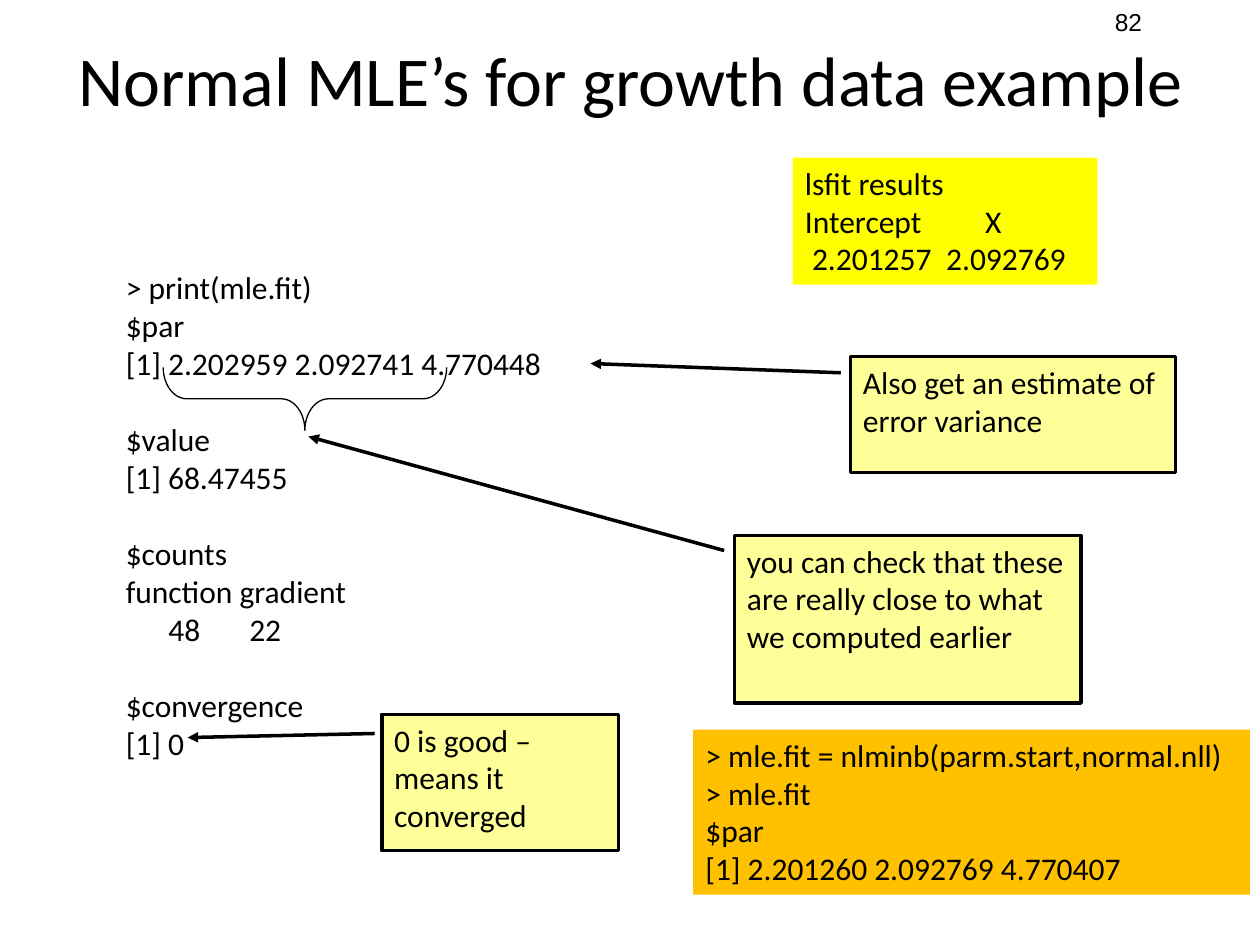
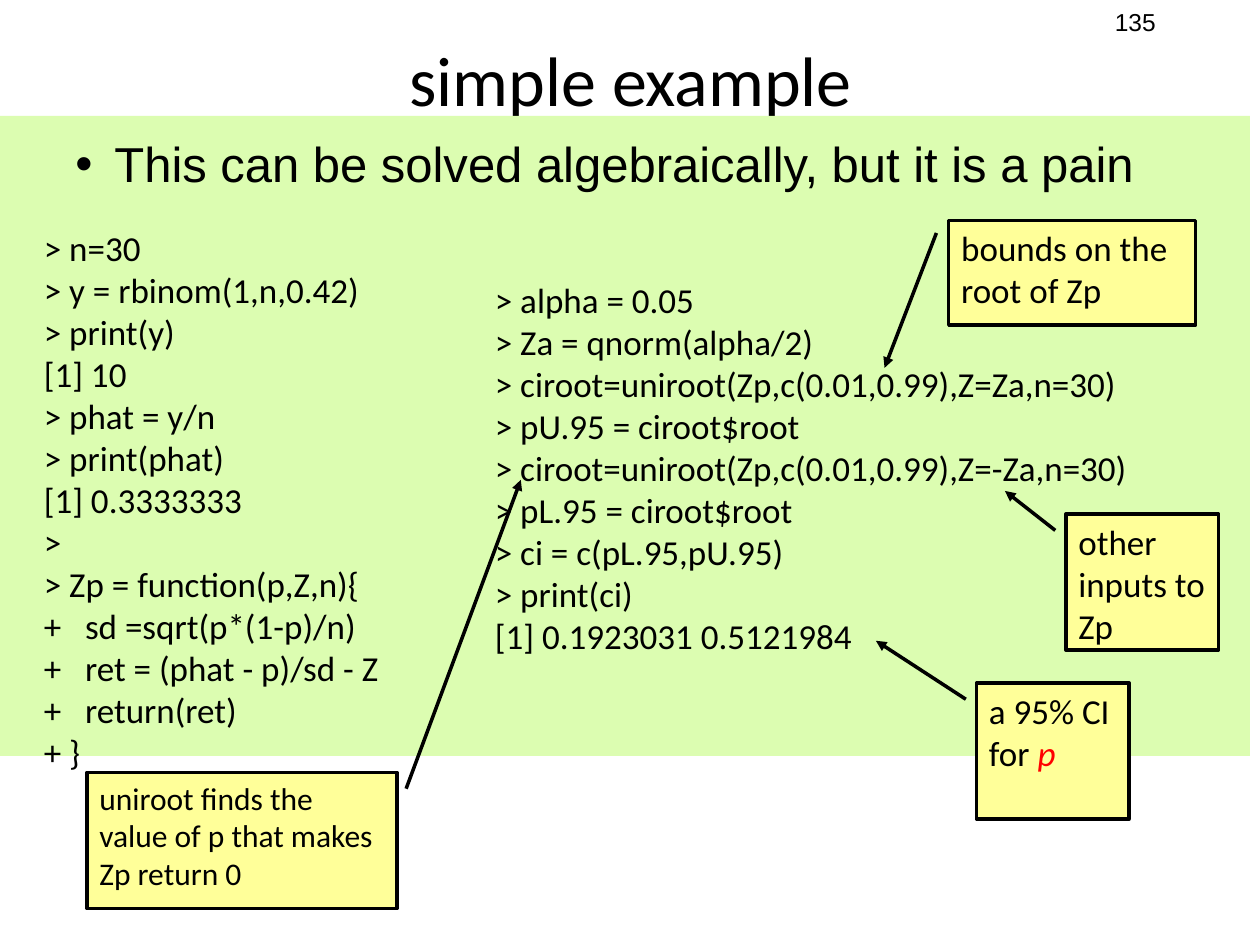
import dataclasses

import pptx
import pptx.dml.color
import pptx.enum.shapes
import pptx.enum.text
import pptx.oxml.ns
import pptx.util
from lxml import etree

Inches = pptx.util.Inches
Pt = pptx.util.Pt
SHAPE = pptx.enum.shapes.MSO_SHAPE
TEXT = pptx.enum.text


@dataclasses.dataclass(frozen=True)
class Theme:
    ink: str = "000000"
    accent: str = "FF0000"
    note: str = "FFFF99"
    result: str = "FFFF00"
    refit: str = "FFC000"
    band: str = "DCFDB1"
    sans: str = "Calibri"
    bullet_font: str = "Arial"
    title: int = 40
    bullet: int = 28
    large: int = 20
    body: int = 18
    number: int = 14


@dataclasses.dataclass(frozen=True)
class Line:
    text: str
    tab: float = 0
    gap: int = 0


THEME = Theme()
BLANK_LINE = 22


def rgb(value):
    return pptx.dml.color.RGBColor.from_string(value)


def add_xml(parent, tag, **attributes):
    return etree.SubElement(parent, pptx.oxml.ns.qn(tag), attributes)


def set_font(font, size, name=THEME.sans):
    font.name = name
    font.size = Pt(size)
    font.color.rgb = rgb(THEME.ink)


def fill_text(tf, lines, size, name=THEME.sans, align=TEXT.PP_ALIGN.LEFT):
    tf.word_wrap = True
    for i, line in enumerate(lines):
        if isinstance(line, str):
            line = Line(line)
        p = tf.paragraphs[0] if i == 0 else tf.add_paragraph()
        p.text = line.text
        p.alignment = align
        if line.gap:
            p.space_before = Pt(line.gap)
        if line.tab:
            tabs = add_xml(p._p.get_or_add_pPr(), "a:tabLst")
            add_xml(tabs, "a:tab", pos=str(Inches(line.tab)), algn="l")
        set_font(p.font, size, name)


def add_text(slide, box, lines, size, **style):
    sp = slide.shapes.add_textbox(*map(Inches, box))
    fill_text(sp.text_frame, lines, size, **style)
    return sp


def add_shape(slide, kind, box, fill=None, line_width=None):
    sp = slide.shapes.add_shape(kind, *map(Inches, box))
    sp.shadow.inherit = False
    if fill:
        sp.fill.solid()
        sp.fill.fore_color.rgb = rgb(fill)
    else:
        sp.fill.background()
    if line_width:
        sp.line.color.rgb = rgb(THEME.ink)
        sp.line.width = Pt(line_width)
    else:
        sp.line.fill.background()
    sp.text_frame.vertical_anchor = TEXT.MSO_ANCHOR.TOP
    return sp


def set_adjustments(sp, values):
    for i, value in enumerate(values):
        sp.adjustments[i] = value


def add_panel(slide, box, fill, lines):
    sp = add_shape(slide, SHAPE.RECTANGLE, box, fill)
    fill_text(sp.text_frame, lines, THEME.body)


def add_callout(slide, box, pointer, text, size=THEME.body):
    sp = add_shape(slide, SHAPE.LINE_CALLOUT_1, box, THEME.note, 2)
    set_adjustments(sp, pointer)
    add_xml(sp.line._get_or_add_ln(), "a:tailEnd", type="triangle")
    fill_text(sp.text_frame, [text], size)
    return sp


def add_brace(slide, box):
    sp = add_shape(slide, SHAPE.LEFT_BRACE, box, line_width=0.75)
    set_adjustments(sp, (0.375, 0.5))
    sp.rotation = 270


def add_bullet_band(slide, box, text):
    sp = add_shape(slide, SHAPE.RECTANGLE, box, THEME.band)
    p = sp.text_frame.paragraphs[0]
    p.line_spacing = 1.2
    pPr = p._p.get_or_add_pPr()
    pPr.set("marL", str(Inches(0.81)))
    pPr.set("indent", str(Inches(-0.31)))
    add_xml(pPr, "a:buFont", typeface=THEME.bullet_font)
    add_xml(pPr, "a:buChar", char="•")
    fill_text(sp.text_frame, [text], THEME.bullet, name=THEME.bullet_font)


def add_slide(prs, number, title):
    slide = prs.slides.add_slide(prs.slide_layouts[6])
    add_text(slide, (8.75, 0.01, 1, 0.34), [number], THEME.number,
             name=THEME.bullet_font)
    sp = add_text(slide, (0.51, 0.17, 8.99, 0.91), [title], THEME.title,
                  align=TEXT.PP_ALIGN.CENTER)
    sp.text_frame.vertical_anchor = TEXT.MSO_ANCHOR.MIDDLE
    return slide


def build_growth_slide(prs):
    slide = add_slide(prs, "82", "Normal MLE’s for growth data example")
    add_callout(slide, (5.83, 4.25, 2.75, 1.33), (0.09, -0.03, -0.59, -1.23),
                "you can check that these are really close to what "
                "we computed earlier")
    add_brace(slide, (2.17, 2.04, 0.5, 2.25))
    add_text(slide, (0.9, 2.08, 6.42, 4.01), [
        "> print(mle.fit)",
        "$par",
        "[1] 2.202959 2.092741 4.770448",
        Line("$value", gap=BLANK_LINE),
        "[1] 68.47455",
        Line("$counts", gap=BLANK_LINE),
        "function gradient",
        Line("      48\t22", tab=0.98),
        Line("$convergence", gap=BLANK_LINE),
        "[1] 0",
    ], THEME.body)
    add_callout(slide, (6.75, 2.83, 2.58, 0.92), (0.14, -0.03, 0.06, -0.8),
                "Also get an estimate of error variance")
    add_callout(slide, (3.03, 5.67, 1.88, 1.08), (0.14, -0.03, 0.17, -0.82),
                "0 is good – means it converged")
    add_panel(slide, (6.29, 1.25, 2.42, 1.01), THEME.result, [
        "lsfit results",
        Line("Intercept\tX", tab=1.43),
        Line(" 2.201257\t2.092769", tab=1.12),
    ])
    add_panel(slide, (5.5, 5.79, 4.42, 1.31), THEME.refit, [
        "> mle.fit = nlminb(parm.start,normal.nll)",
        "> mle.fit",
        "$par",
        "[1] 2.201260 2.092769 4.770407",
    ])


def build_root_slide(prs):
    slide = add_slide(prs, "135", "simple example")
    add_bullet_band(slide, (0, 0.92, 9.92, 5.08),
                    "This can be solved algebraically, but it is a pain")
    add_text(slide, (0.25, 1.75, 3.33, 4.48), [
        "> n=30",
        "> y = rbinom(1,n,0.42)",
        "> print(y)",
        "[1] 10",
        "> phat = y/n",
        "> print(phat)",
        "[1] 0.3333333",
        ">",
        "> Zp = function(p,Z,n){",
        "+   sd =sqrt(p*(1-p)/n)",
        "+   ret = (phat - p)/sd - Z",
        "+   return(ret)",
        "+ }",
    ], THEME.large)
    add_text(slide, (3.83, 2.16, 6.17, 3.13), [
        "> alpha = 0.05",
        "> Za = qnorm(alpha/2)",
        "> ciroot=uniroot(Zp,c(0.01,0.99),Z=Za,n=30)",
        "> pU.95 = ciroot$root",
        "> ciroot=uniroot(Zp,c(0.01,0.99),Z=-Za,n=30)",
        "> pL.95 = ciroot$root",
        "> ci = c(pL.95,pU.95)",
        "> print(ci)",
        "[1] 0.1923031 0.5121984",
    ], THEME.large)
    add_callout(slide, (0.69, 6.13, 2.46, 1.08), (0.12, 1.03, -2.15, 1.4),
                "uniroot finds the value of p that makes Zp return 0")
    add_callout(slide, (7.53, 1.75, 1.96, 0.83), (0.12, -0.05, 1.41, -0.26),
                "bounds on the root of Zp", THEME.large)
    add_callout(slide, (8.46, 4.08, 1.21, 1.08), (0.12, -0.07, -0.17, -0.4),
                "other inputs to Zp", THEME.large)
    sp = add_callout(slide, (7.75, 5.42, 1.21, 1.08),
                     (0.12, -0.07, -0.31, -0.66), "a 95% CI for ", THEME.large)
    r = sp.text_frame.paragraphs[0].add_run()
    r.text = "p"
    r.font.italic = True
    r.font.color.rgb = rgb(THEME.accent)


def main():
    prs = pptx.Presentation()
    prs.slide_width = Inches(10)
    prs.slide_height = Inches(7.5)
    build_growth_slide(prs)
    build_root_slide(prs)
    prs.save("out.pptx")


if __name__ == "__main__":
    main()
